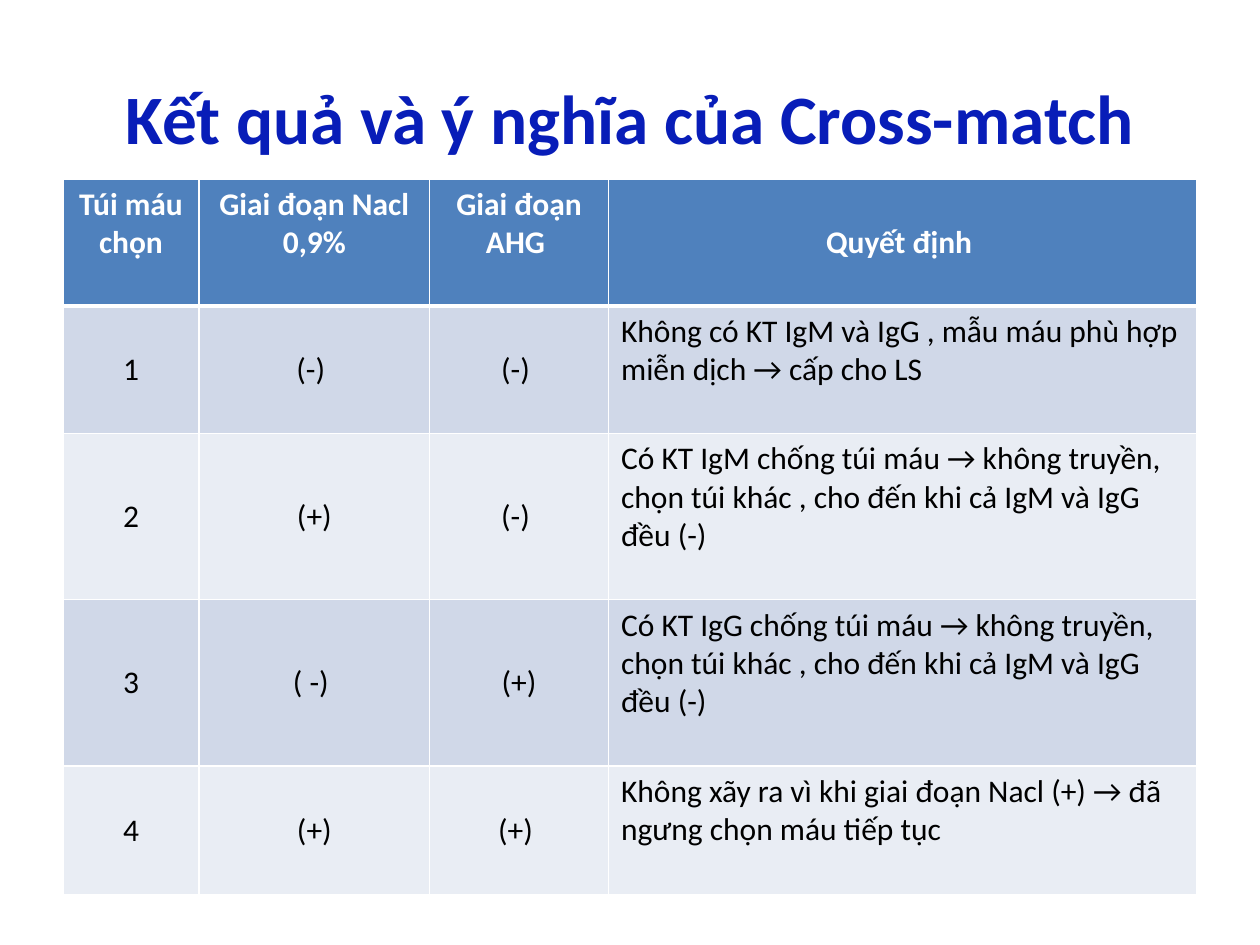
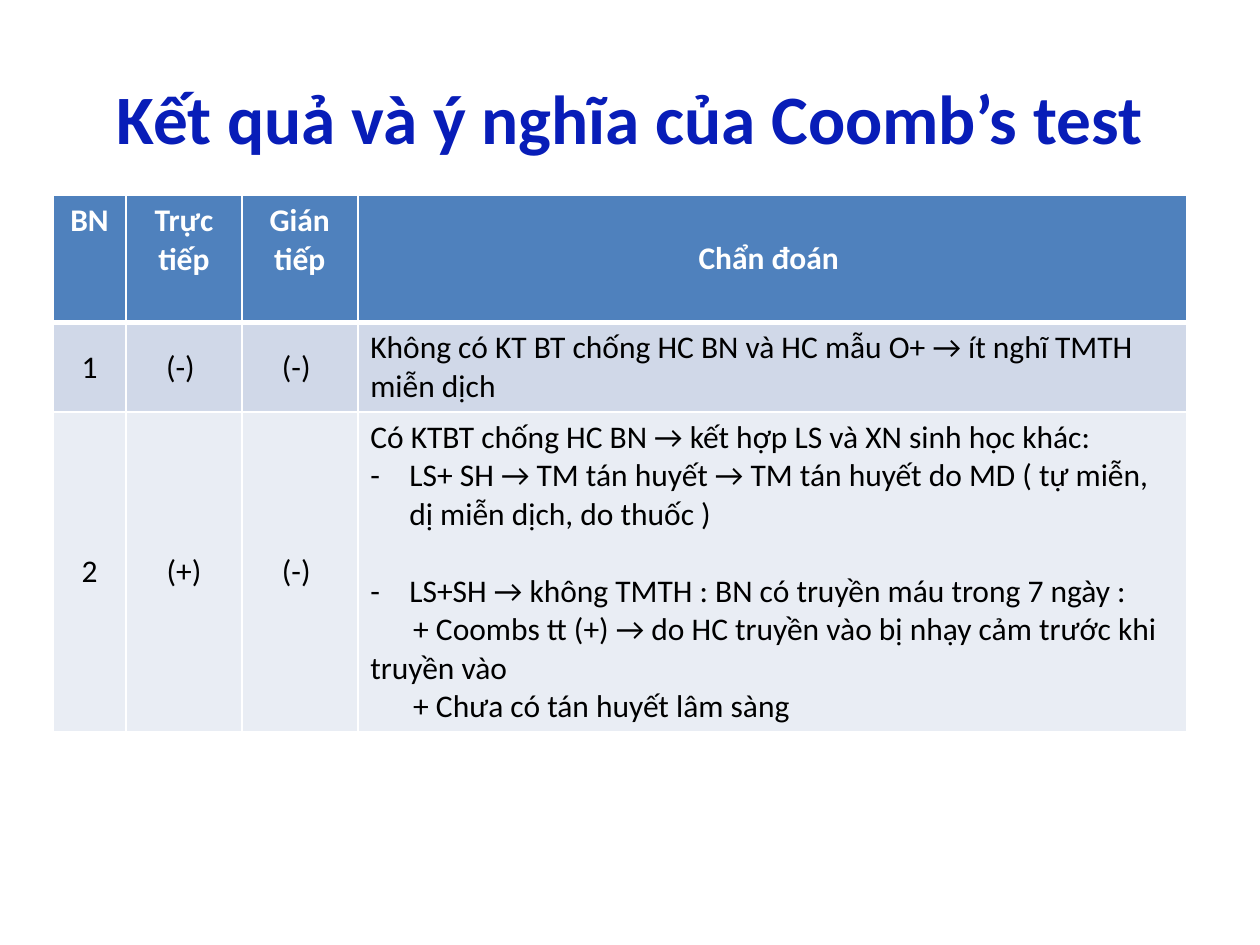
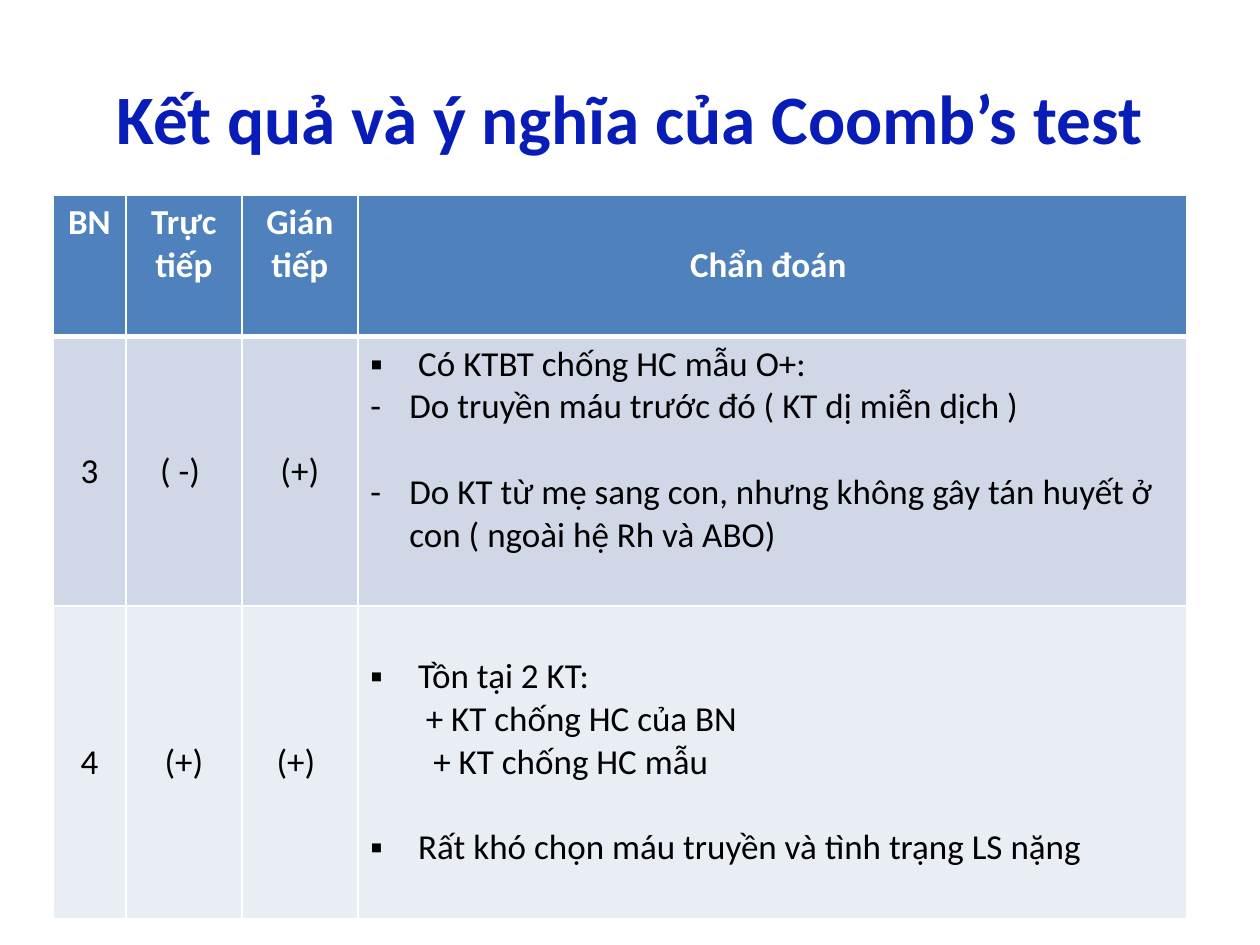
"""Build three slides of cross-match and Coombs test results."""
from lxml import etree
from pptx import Presentation
from pptx.dml.color import RGBColor
from pptx.enum.text import MSO_ANCHOR, PP_ALIGN
from pptx.oxml.ns import qn
from pptx.util import Inches, Pt

CENTER, LEFT = PP_ALIGN.CENTER, PP_ALIGN.LEFT
TOP, MIDDLE = MSO_ANCHOR.TOP, MSO_ANCHOR.MIDDLE
FONT = "Calibri"
TITLE_BLUE, HEADER_BLUE, WHITE, BLACK = "081DB8", "4F81BD", "FFFFFF", "000000"
BANDS = ["D0D8E8", "E9EDF4"]
HANGING = {"-": 0.31, "▪": 0.38}
LINE_HEIGHT = 1.22


def style(paragraph, size, color, bold, align):
    paragraph.alignment = align
    font = paragraph.font
    font.name, font.size, font.bold = FONT, Pt(size), bold
    font.color.rgb = RGBColor.from_string(color)


def add_border(cell, side, width):
    line = etree.SubElement(cell._tc.get_or_add_tcPr(), qn(f"a:ln{side}"), w=str(Pt(width)))
    fill = etree.SubElement(line, qn("a:solidFill"))
    etree.SubElement(fill, qn("a:srgbClr"), val=WHITE)


COOMBS_TITLE = "Kết quả và ý nghĩa của Coomb’s test"
COOMBS_HEADER = ["BN", "Trực tiếp", "Gián tiếp", "Chẩn đoán "]
COOMBS_COLUMNS = [0.58, 0.92, 0.92, 6.58]

# Each conclusion line: text, bullet, first-line indent, blank lines before.
SLIDES = [
    {
        "title": "Kết quả và ý nghĩa của Cross-match",
        "left": 0.5, "top": 1.42, "size": 18,
        "columns": [1.08, 1.83, 1.42, 4.67],
        "heights": [1.01, 1.01, 1.32, 1.32, 1.02],
        "header": ["Túi máu chọn", "Giai đoạn Nacl 0,9%", "Giai đoạn AHG ", "Quyết định "],
        "results": [["1", "(-) ", "(-) "], ["2", "(+)", "(-) "],
                    ["3", "( -) ", "(+)"], ["4", "(+)", "(+) "]],
        "conclusions": [
            [("Không có KT IgM và IgG , mẫu máu phù hợp miễn dịch → cấp cho LS", "", 0, 0)],
            [("Có KT IgM chống túi máu → không truyền, chọn túi khác , "
              "cho đến khi cả IgM và IgG đều (-)", "", 0, 0)],
            [("Có KT IgG chống túi máu → không truyền, chọn túi khác , "
              "cho đến khi cả IgM và IgG đều (-)", "", 0, 0)],
            [("Không xãy ra vì khi giai đoạn Nacl (+) → đã ngưng chọn máu tiếp tục", "", 0, 0)],
        ],
        "anchors": [TOP] * 4,
    },
    {
        "title": COOMBS_TITLE,
        "left": 0.42, "top": 1.55, "size": 18,
        "columns": COOMBS_COLUMNS,
        "heights": [1.01, 0.71, 2.54],
        "header": COOMBS_HEADER,
        "results": [["1", "(-) ", "(-) "], ["2", "(+)", "(-) "]],
        "conclusions": [
            [("Không có KT BT chống HC BN và HC mẫu O+ → ít nghĩ TMTH miễn dịch", "", 0, 0)],
            [("Có KTBT chống HC BN → kết hợp LS và XN sinh học khác:", "", 0, 0),
             ("LS+ SH → TM tán huyết → TM tán huyết do MD ( tự miễn, "
              "dị miễn dịch, do thuốc )", "-", 0, 0),
             ("LS+SH → không TMTH : BN có truyền máu trong 7 ngày :", "-", 0, 1),
             ("+ Coombs tt (+) → do HC truyền vào bị nhạy cảm trước khi truyền vào", "", 0.34, 0),
             ("+ Chưa có tán huyết lâm sàng", "", 0.34, 0)],
        ],
        "anchors": [TOP, TOP],
    },
    {
        "title": COOMBS_TITLE,
        "left": 0.42, "top": 1.55, "size": 20,
        "columns": COOMBS_COLUMNS,
        "heights": [1.12, 2.14, 2.48],
        "header": COOMBS_HEADER,
        "results": [["3", "( -) ", "(+)"], ["4", "(+)", "(+) "]],
        "conclusions": [
            [("Có KTBT chống HC mẫu O+:", "▪", 0, 0),
             ("Do truyền máu trước đó ( KT dị miễn dịch )", "-", 0, 0),
             ("Do KT từ mẹ sang con, nhưng không gây tán huyết ở con "
              "( ngoài hệ Rh và ABO)", "-", 0, 1)],
            [("Tồn tại 2 KT:", "▪", 0, 0),
             ("+ KT chống HC của BN", "", 0.44, 0),
             ("+ KT chống HC mẫu", "", 0.5, 0),
             ("Rất khó chọn máu truyền và tình trạng LS nặng", "▪", 0, 1)],
        ],
        "anchors": [TOP, MIDDLE],
    },
]

prs = Presentation()
prs.slide_width, prs.slide_height = Inches(10), Inches(7.5)

for content in SLIDES:
    slide = prs.slides.add_slide(prs.slide_layouts[6])
    heading = slide.shapes.add_textbox(Inches(0.5), Inches(0.3), Inches(9), Inches(1.25)).text_frame
    heading.word_wrap = True
    heading.vertical_anchor = MIDDLE
    heading.text = content["title"]
    style(heading.paragraphs[0], 39.6, TITLE_BLUE, True, CENTER)

    columns, heights, size = content["columns"], content["heights"], content["size"]
    findings = slide.shapes.add_table(
        len(heights), len(columns), Inches(content["left"]), Inches(content["top"]),
        Inches(sum(columns)), Inches(sum(heights))).table
    for column, width in zip(findings.columns, columns):
        column.width = Inches(width)
    for row, height in zip(findings.rows, heights):
        row.height = Inches(height)

    labels = [content["header"]] + content["results"]
    for r in range(len(heights)):
        for c in range(len(columns)):
            cell = findings.cell(r, c)
            for side in "LRTB":
                below_header = (r, side) in [(0, "B"), (1, "T")]
                add_border(cell, side, 3 if below_header else 1)
            cell.fill.solid()
            cell.fill.fore_color.rgb = RGBColor.from_string(
                BANDS[(r - 1) % 2] if r else HEADER_BLUE)

            if r and c == 3:
                cell.vertical_anchor = content["anchors"][r - 1]
                lines = content["conclusions"][r - 1]
                align = LEFT
            else:
                cell.vertical_anchor = MIDDLE if r or c == 3 else TOP
                lines = [(labels[r][c], "", 0, 0)]
                align = CENTER

            for i, (text, bullet, indent, gap) in enumerate(lines):
                paragraph = cell.text_frame.paragraphs[0] if i == 0 else cell.text_frame.add_paragraph()
                paragraph.text = text
                if gap:
                    paragraph.space_before = Pt(round(gap * size * LINE_HEIGHT, 1))
                properties = paragraph._p.get_or_add_pPr()
                if bullet:
                    properties.set("marL", str(Inches(HANGING[bullet])))
                    properties.set("indent", str(-Inches(HANGING[bullet])))
                    etree.SubElement(properties, qn("a:buFont"), typeface=FONT)
                    etree.SubElement(properties, qn("a:buChar"), char=bullet)
                elif indent:
                    properties.set("marL", "0")
                    properties.set("indent", str(Inches(indent)))
                style(paragraph, size, BLACK if r else WHITE, r == 0, align)

prs.save("out.pptx")
